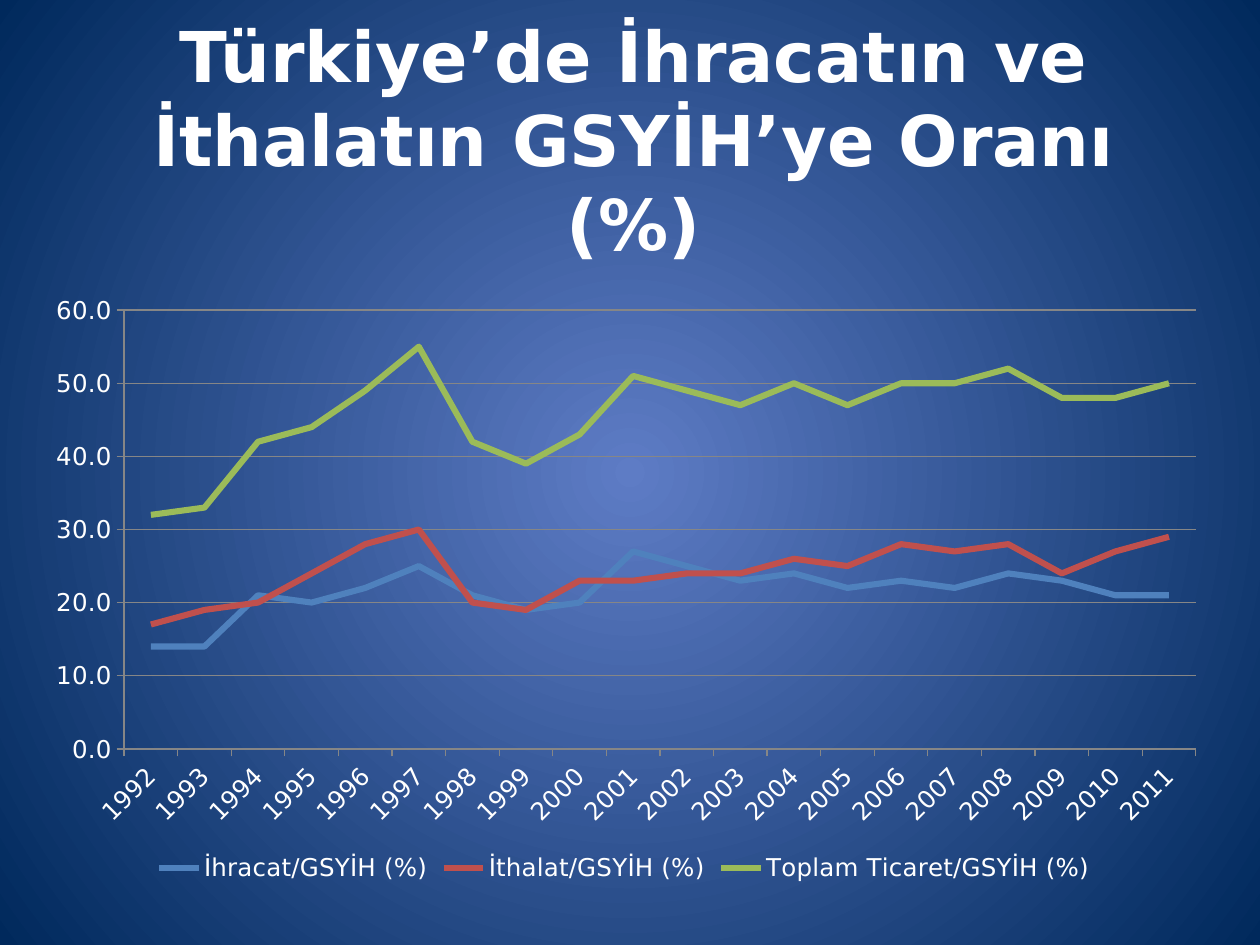
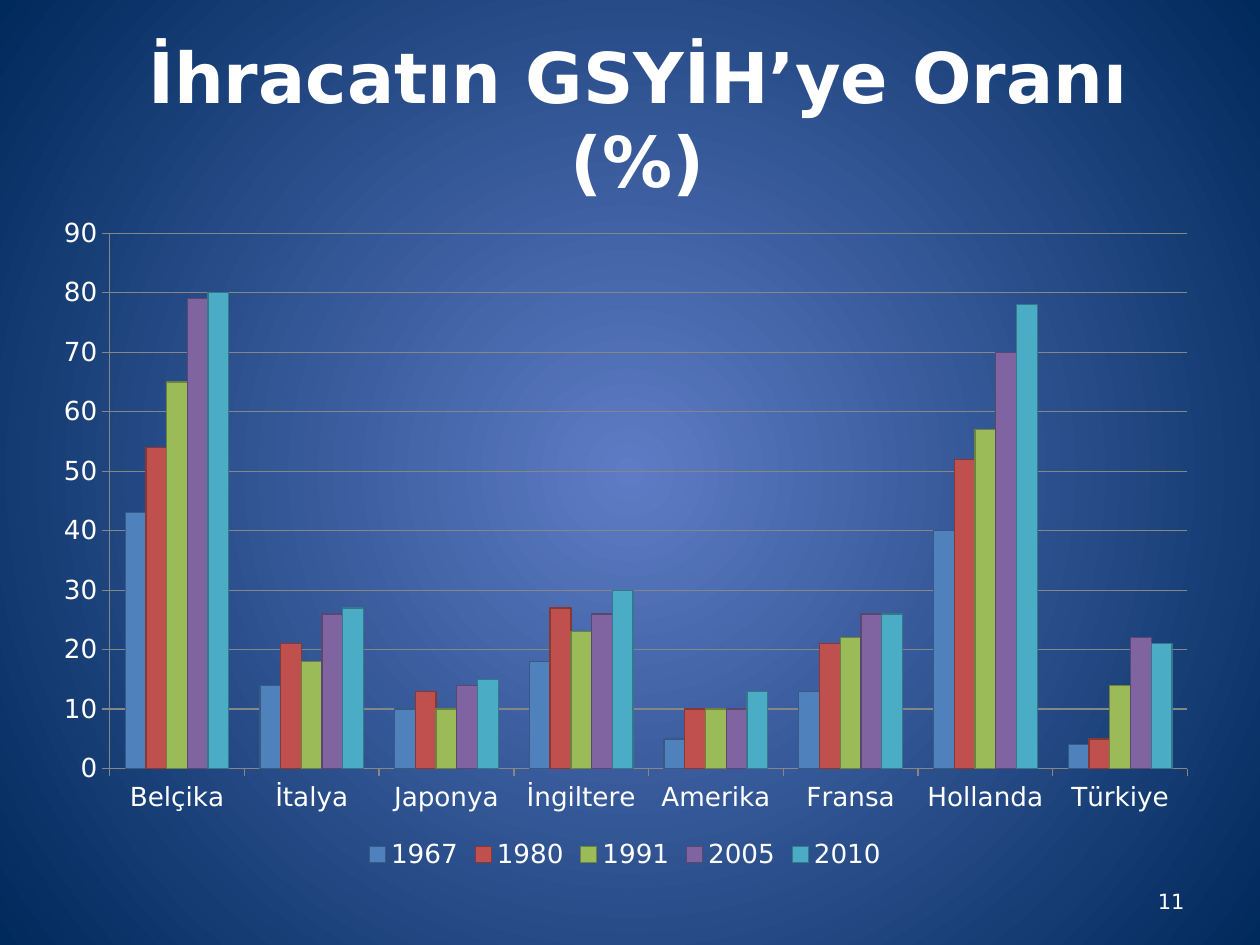
from dataclasses import dataclass

from lxml import etree
from pptx import Presentation
from pptx.chart.data import CategoryChartData
from pptx.dml.color import RGBColor
from pptx.enum.chart import XL_CHART_TYPE as ChartType
from pptx.enum.chart import XL_LEGEND_POSITION as LegendPos
from pptx.enum.chart import XL_TICK_MARK as Tick
from pptx.enum.text import MSO_ANCHOR as Anchor
from pptx.enum.text import MSO_AUTO_SIZE as AutoSize
from pptx.enum.text import PP_ALIGN as Align
from pptx.oxml.ns import qn
from pptx.util import Pt

FONT = "DejaVu Sans"
COLORS = {
    "glow": "5E7CC5", "edge": "00295C", "text": "FFFFFF", "grid": "868686",
    "blue": "4F81BD", "red": "C0504D", "green": "9BBB59",
    "purple": "8064A2", "aqua": "4BACC6",
}
SERIES_COLORS = [COLORS[k] for k in ("blue", "red", "green", "purple", "aqua")]


@dataclass(frozen=True)
class Box:
    left: float
    top: float
    width: float
    height: float

    def lengths(self) -> tuple:
        return Pt(self.left), Pt(self.top), Pt(self.width), Pt(self.height)


@dataclass(frozen=True)
class ChartSpec:
    kind: ChartType
    box: Box
    plot: Box  # inner plot area, as fractions of the chart
    size: float
    number_format: str
    top_value: int
    categories: list[str]
    series: dict[str, list[int]]
    label_angle: int = 0


@dataclass(frozen=True)
class SlideSpec:
    title: str
    title_box: Box
    chart: ChartSpec
    number: str = ""


SLIDES = [
    SlideSpec(
        "Türkiye’de İhracatın ve İthalatın GSYİH’ye Oranı (%)",
        Box(56, 34, 612, 90),
        ChartSpec(
            ChartType.LINE, Box(16.5, 163.5, 680.5, 343.5),
            Box(0.08, 0.04, 0.9, 0.73), 14, "#,##0.0", 60,
            [str(year) for year in range(1992, 2012)],
            {
                "İhracat/GSYİH (%)": [14, 14, 21, 20, 22, 25, 21, 19, 20, 27,
                                      25, 23, 24, 22, 23, 22, 24, 23, 21, 21],
                "İthalat/GSYİH (%)": [17, 19, 20, 24, 28, 30, 20, 19, 23, 23,
                                      24, 24, 26, 25, 28, 27, 28, 24, 27, 29],
                "Toplam Ticaret/GSYİH (%)": [32, 33, 42, 44, 49, 55, 42, 39, 43, 51,
                                             49, 47, 50, 47, 50, 50, 52, 48, 48, 50],
            },
            label_angle=-45,
        ),
    ),
    SlideSpec(
        "İhracatın GSYİH’ye Oranı (%)",
        Box(67.5, 28, 594, 78.5),
        ChartSpec(
            ChartType.COLUMN_CLUSTERED, Box(22.5, 118, 669.5, 382.5),
            Box(0.06, 0.04, 0.92, 0.8), 15, "0", 90,
            ["Belçika", "İtalya", "Japonya", "İngiltere",
             "Amerika", "Fransa", "Hollanda", "Türkiye"],
            {
                "1967": [43, 14, 10, 18, 5, 13, 40, 4],
                "1980": [54, 21, 13, 27, 10, 21, 52, 5],
                "1991": [65, 18, 10, 23, 10, 22, 57, 14],
                "2005": [79, 26, 14, 26, 10, 26, 70, 22],
                "2010": [80, 27, 15, 30, 13, 26, 78, 21],
            },
        ),
        number="11",
    ),
]
NUMBER_BOX = Box(516, 500.5, 168, 29)


def rgb(color: str) -> RGBColor:
    return RGBColor.from_string(color)


def darker(color: str, factor: float = 0.7) -> RGBColor:
    return RGBColor(*(int(c * factor) for c in rgb(color)))


def format_font(font, size: float, bold: bool = False) -> None:
    font.name, font.size, font.bold = FONT, Pt(size), bold
    font.color.rgb = rgb(COLORS["text"])


def write(sp, text: str, *, size: float, bold: bool = False, align=Align.LEFT) -> None:
    tf = sp.text_frame
    tf.word_wrap, tf.auto_size = True, AutoSize.NONE
    tf.vertical_anchor = Anchor.MIDDLE
    p = tf.paragraphs[0]
    p.alignment = align
    r = p.add_run()
    r.text = text
    format_font(r.font, size, bold)


def set_radial_background(master) -> None:
    fill = master.background.fill
    fill.gradient()
    for stop, key, position in zip(fill.gradient_stops, ("glow", "edge"), (0, 1)):
        stop.color.rgb, stop.position = rgb(COLORS[key]), position
    grad = master.element.find(".//" + qn("p:bg")).find(".//" + qn("a:gradFill"))
    grad.remove(grad.find(qn("a:lin")))
    radial = etree.SubElement(grad, qn("a:path"), path="circle")
    etree.SubElement(radial, qn("a:fillToRect"), {side: "50000" for side in "ltrb"})


def place_plot(chart, plot: Box) -> None:
    """Fix the inner plot area inside the chart."""
    area = chart.element.find(".//" + qn("c:plotArea"))
    for old in area.findall(qn("c:layout")):
        area.remove(old)
    layout = etree.Element(qn("c:layout"))
    manual = etree.SubElement(layout, qn("c:manualLayout"))
    values = {"layoutTarget": "inner", "xMode": "edge", "yMode": "edge",
              "x": plot.left, "y": plot.top, "w": plot.width, "h": plot.height}
    for tag, value in values.items():
        etree.SubElement(manual, qn("c:" + tag), val=str(value))
    area.insert(0, layout)


def format_axes(chart, spec: ChartSpec) -> None:
    cat, val = chart.category_axis, chart.value_axis
    val.minimum_scale, val.maximum_scale, val.major_unit = 0, spec.top_value, 10
    val.has_major_gridlines = True
    val.tick_labels.number_format = spec.number_format
    val.tick_labels.number_format_is_linked = False
    for axis in (cat, val):
        axis.major_tick_mark, axis.minor_tick_mark = Tick.OUTSIDE, Tick.NONE
        format_font(axis.tick_labels.font, spec.size)
    for lines in (cat.format, val.format, val.major_gridlines.format):
        lines.line.color.rgb, lines.line.width = rgb(COLORS["grid"]), Pt(0.75)
    if spec.label_angle:
        body = cat._element.find(qn("c:txPr")).find(qn("a:bodyPr"))
        body.set("rot", str(spec.label_angle * 60000))
        body.set("vert", "horz")


def add_ratio_chart(s, spec: ChartSpec) -> None:
    data = CategoryChartData(number_format=spec.number_format)
    data.categories = spec.categories
    for name, values in spec.series.items():
        data.add_series(name, values)
    chart = s.shapes.add_chart(spec.kind, *spec.box.lengths(), data).chart
    format_font(chart.font, spec.size)
    chart.has_title = False
    chart.has_legend = True
    chart.legend.position = LegendPos.BOTTOM
    chart.legend.include_in_layout = False
    format_font(chart.legend.font, spec.size)
    format_axes(chart, spec)
    place_plot(chart, spec.plot)
    plot = chart.plots[0]
    plot.vary_by_categories = False
    is_line = spec.kind == ChartType.LINE
    if not is_line:
        plot.gap_width, plot.overlap = 150, 0
    for series, color in zip(plot.series, SERIES_COLORS):
        line = series.format.line
        if is_line:
            series.smooth = False
            line.color.rgb, line.width = rgb(color), Pt(3.5)
        else:
            series.format.fill.solid()
            series.format.fill.fore_color.rgb = rgb(color)
            line.color.rgb, line.width = darker(color), Pt(0.75)


def add_slide(prs, spec: SlideSpec) -> None:
    s = prs.slides.add_slide(prs.slide_layouts[5])
    title = s.shapes.title
    title.left, title.top, title.width, title.height = spec.title_box.lengths()
    write(title, spec.title, size=40, bold=True, align=Align.CENTER)
    add_ratio_chart(s, spec.chart)
    if spec.number:
        number = s.shapes.add_textbox(*NUMBER_BOX.lengths())
        write(number, spec.number, size=12, align=Align.RIGHT)


def main() -> None:
    prs = Presentation()
    prs.slide_width, prs.slide_height = Pt(720), Pt(540)
    set_radial_background(prs.slide_master)
    for spec in SLIDES:
        add_slide(prs, spec)
    prs.save("out.pptx")


if __name__ == "__main__":
    main()
